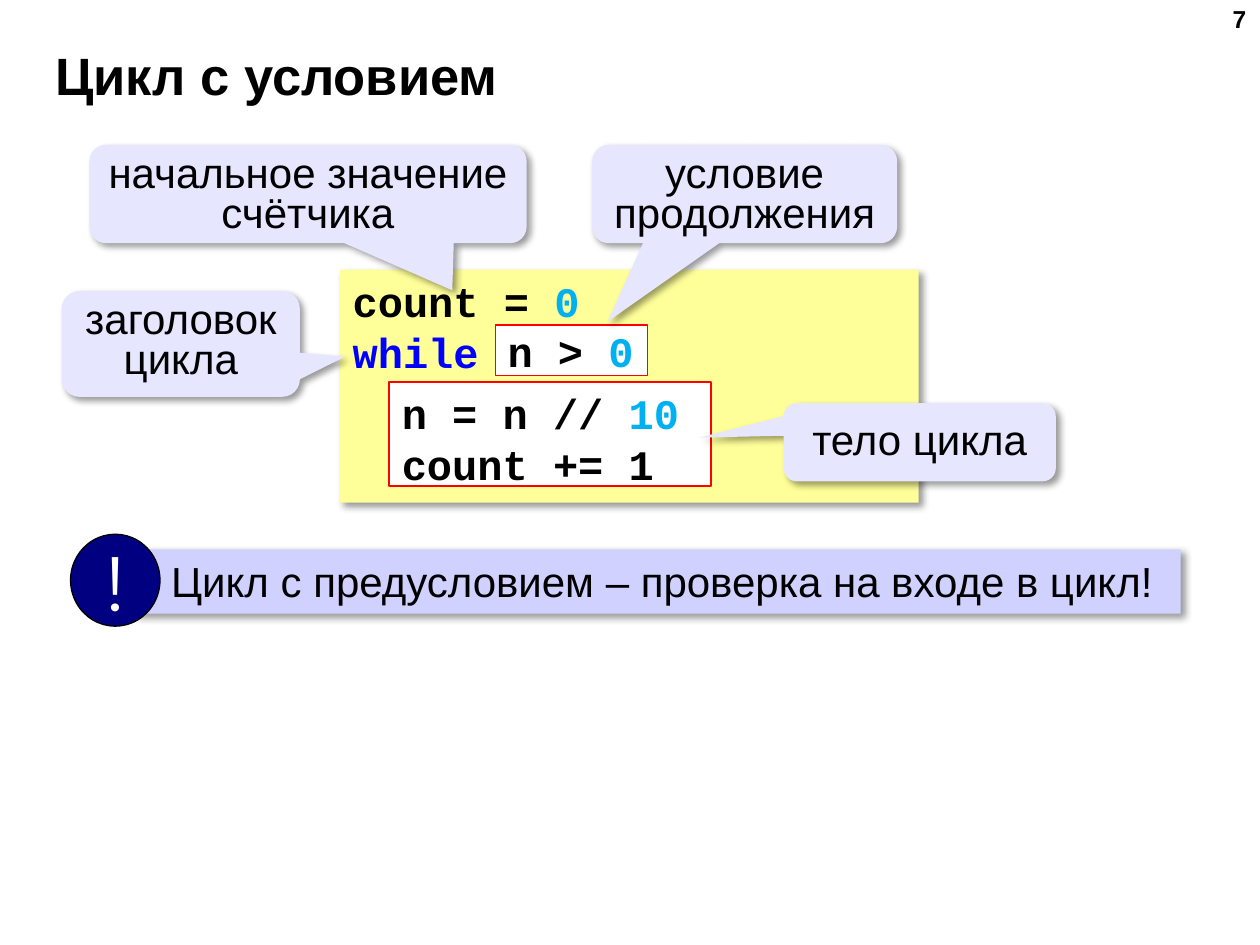
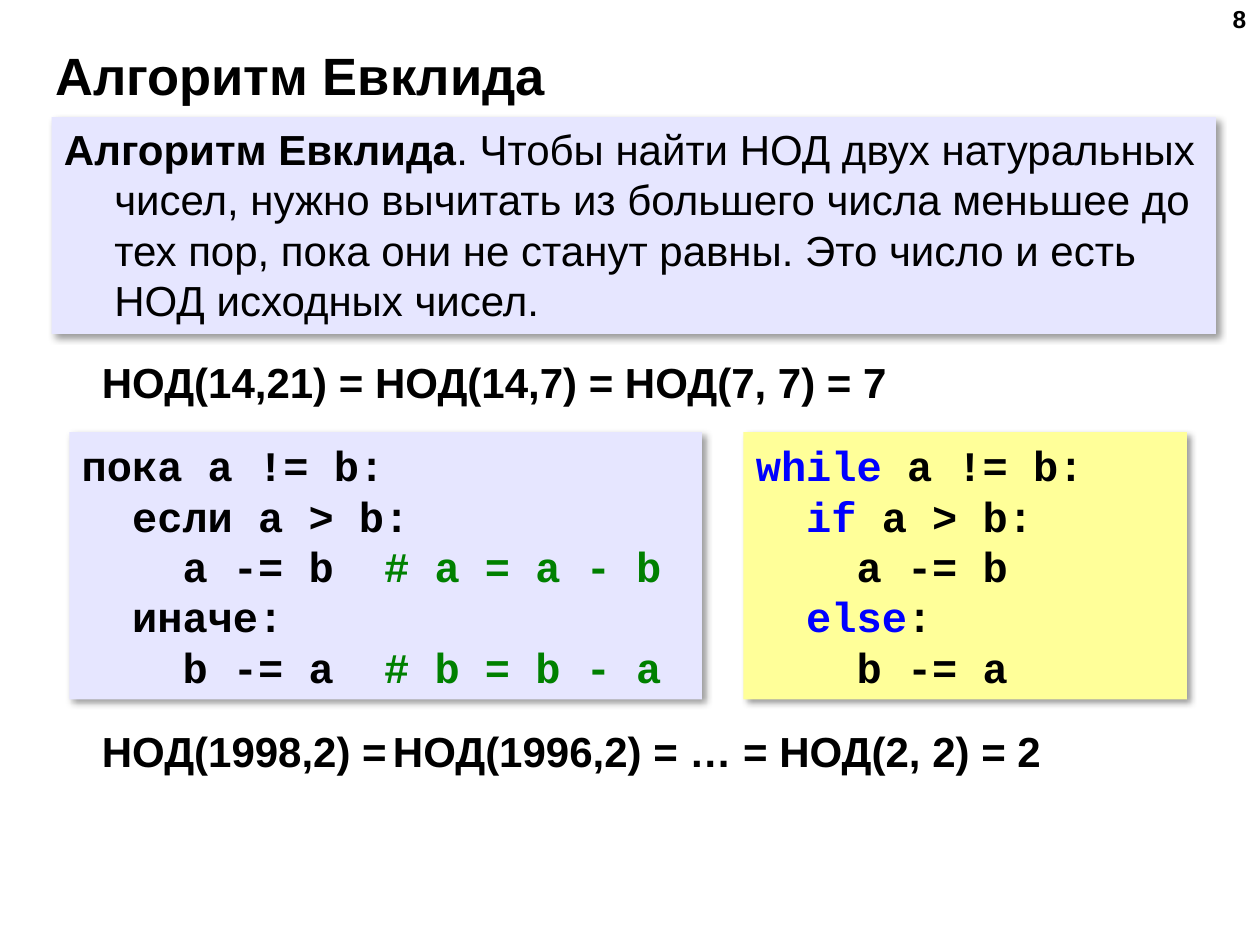
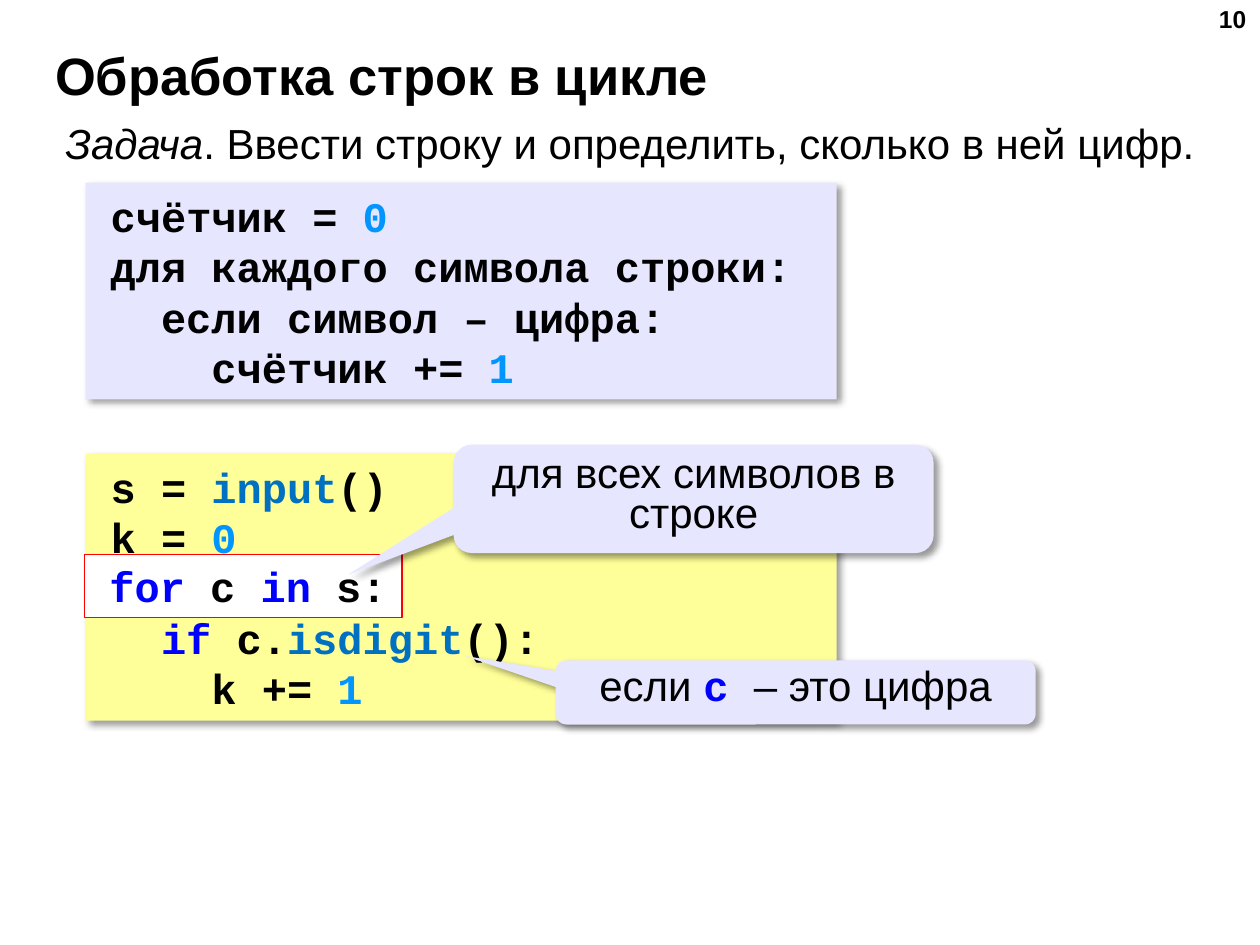
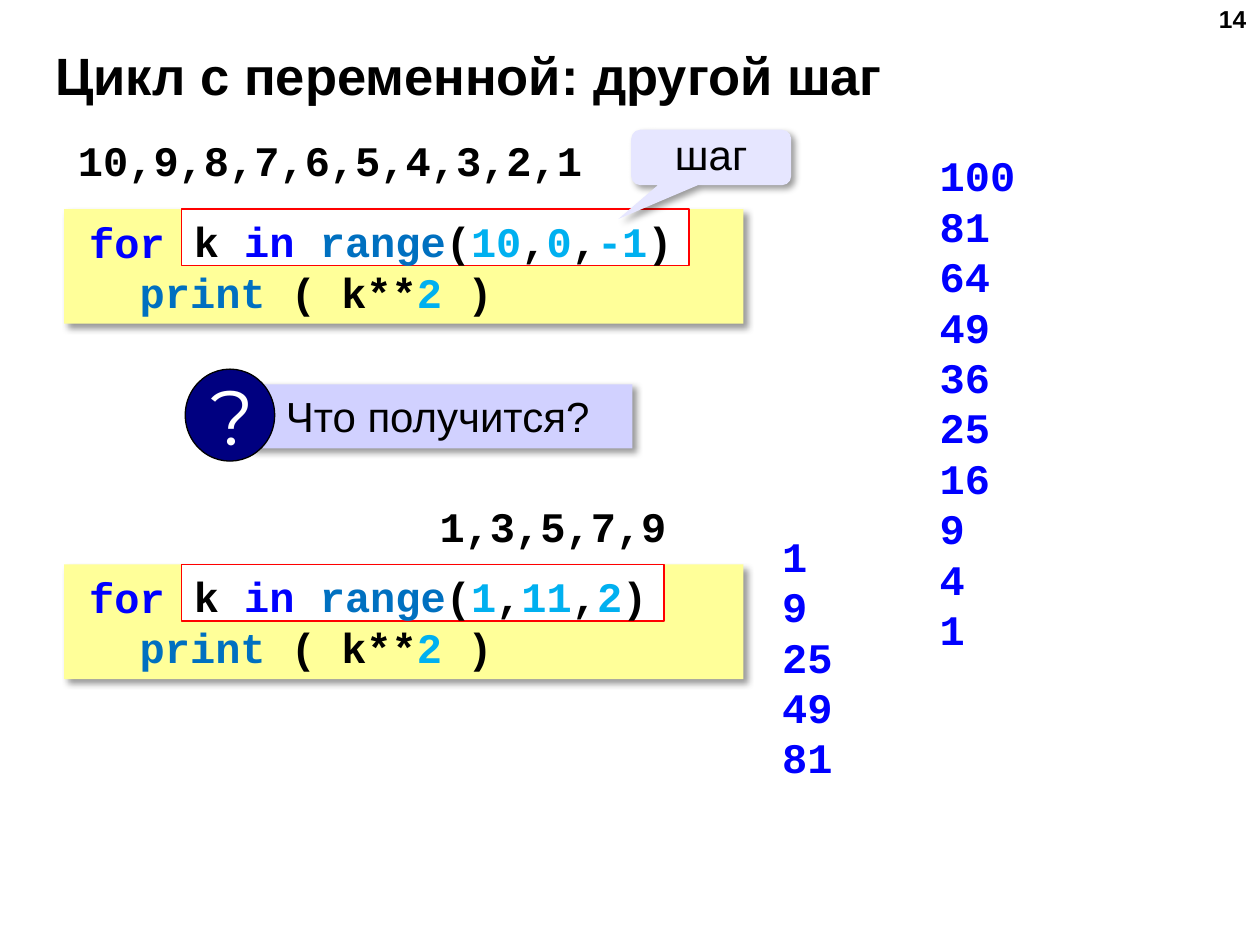
from dataclasses import dataclass, field
from lxml.etree import SubElement as Sub
from pptx import Presentation
from pptx.dml.color import RGBColor as Rgb
from pptx.enum.shapes import MSO_SHAPE as Kind
from pptx.enum.text import MSO_ANCHOR as Anchor, MSO_AUTO_SIZE as Auto, PP_ALIGN as Align
from pptx.oxml.ns import qn
from pptx.util import Inches, Pt


@dataclass(frozen=True)
class Theme:
    black: str = "000000"
    white: str = "FFFFFF"
    red: str = "FF0000"
    navy: str = "000080"
    blue: str = "0000FF"
    lilac: str = "E6E6FF"
    violet: str = "D1D1FF"
    yellow: str = "FFFF99"
    sans: str = "Arial"
    mono: str = "Courier New"
    sign: str = "Montserrat"
    head: int = 30
    body: int = 24
    small: int = 14
    large: int = 44
    glyph: float = 0.2
    tags: dict = field(default_factory=lambda: {
        "key": {"color": "0000FF"},
        "func": {"color": "0070C0"},
        "num": {"color": "00B0F0"},
        "digit": {"color": "0095FF"},
        "note": {"color": "008000"},
        "bold": {"bold": True},
        "ital": {"ital": True},
        "var": {"color": "0000FF", "bold": True, "face": "Courier New"},
    })


THEME = Theme()


def style(font, face=THEME.sans, size=THEME.body, color=THEME.black, bold=False, ital=False):
    font.name, font.size = face, Pt(size)
    font.bold, font.italic = bold, ital
    font.color.rgb = Rgb.from_string(color)


def write(frame, text, align=Align.LEFT, lead=None, left=0, first=0, tab=None, **look):
    for row, line in enumerate(text.split("\n")):
        para = frame.paragraphs[0] if row == 0 else frame.add_paragraph()
        para.alignment = align
        if lead:
            para.line_spacing = lead
        code = line.lstrip(" ")
        shift = first + (len(line) - len(code)) * THEME.glyph
        props = para._p.get_or_add_pPr()
        props.set("marL", str(Inches(left)))
        props.set("indent", str(Inches(shift)))
        if tab and "\t" in code:
            stops = Sub(props, qn("a:tabLst"))
            Sub(stops, qn("a:tab"), pos=str(Inches(tab)), algn="l")
        for chunk in code.split("|"):
            tag, _, word = chunk.rpartition("~")
            run = para.add_run()
            run.text = word
            style(run.font, **{**look, **THEME.tags.get(tag, {})})


class Deck:
    def __init__(self, theme):
        self.theme = theme
        self.show = Presentation()
        self.show.slide_width, self.show.slide_height = Inches(10), Inches(7.5)
        self.page = None

    def start(self, title, number):
        self.page = self.show.slides.add_slide(self.show.slide_layouts[6])
        self.label((0.34, 0.33, 9.16, 0.52), title, anchor=Anchor.MIDDLE,
                   size=self.theme.head, bold=True)
        self.label((7.66, -0.02, 2.33, 0.52), str(number), align=Align.RIGHT,
                   size=self.theme.small, bold=True)

    def fill(self, shape, text, anchor=Anchor.TOP, wrap=True, inset=(0.05, 0.05), **look):
        frame = shape.text_frame
        frame.word_wrap = wrap
        frame.auto_size = Auto.NONE if wrap else Auto.SHAPE_TO_FIT_TEXT
        frame.vertical_anchor = anchor
        frame.margin_left = frame.margin_right = Inches(0.1)
        frame.margin_top, frame.margin_bottom = map(Inches, inset)
        write(frame, text, **look)

    def label(self, box, text, **look):
        self.fill(self.page.shapes.add_textbox(*map(Inches, box)), text, **look)

    def shape(self, box, text, paint, kind=Kind.RECTANGLE, edge=None, width=0.75,
              shade=True, **look):
        item = self.page.shapes.add_shape(kind, *map(Inches, box))
        item.fill.solid()
        item.fill.fore_color.rgb = Rgb.from_string(paint)
        if edge:
            item.line.color.rgb = Rgb.from_string(edge)
            item.line.width = Pt(width)
        else:
            item.line.fill.background()
        item.shadow.inherit = False
        if shade:
            glow = Sub(item._element.spPr.find(qn("a:effectLst")), qn("a:outerShdw"),
                       blurRad=str(Pt(4)), dist=str(Pt(3)), dir="2700000",
                       algn="tl", rotWithShape="0")
            tint = Sub(glow, qn("a:srgbClr"), val=self.theme.black)
            Sub(tint, qn("a:alpha"), val="40000")
        self.fill(item, text, **look)
        return item

    def code(self, box, text, paint=THEME.yellow, anchor=Anchor.MIDDLE, **look):
        self.shape(box, text, paint, anchor=anchor, face=self.theme.mono, bold=True, **look)

    def frame(self, box, text, wrap=False, **look):
        self.code(box, text, self.theme.white, Anchor.TOP, edge=self.theme.red,
                  shade=False, wrap=wrap, **look)

    def list(self, box, text, color=THEME.black):
        self.label(box, text, wrap=False, face=self.theme.mono, bold=True, color=color)

    def fact(self, box, text):
        self.label(box, text, wrap=False, bold=True)

    def call(self, box, text, tip, lead=0.8):
        item = self.shape(box, text, self.theme.lilac, Kind.ROUNDED_RECTANGULAR_CALLOUT,
                          align=Align.CENTER, lead=lead)
        for spot, value in enumerate((*tip, 0.167)):
            item.adjustments[spot] = value

    def alert(self, left, top, width, sign, text):
        band = self.shape((left + 0.51, top + 0.12, width, 0.51), text,
                          self.theme.violet, first=0.19)
        disc = self.shape((left, top, 0.71, 0.73), sign, self.theme.navy, Kind.OVAL,
                          edge=self.theme.black, shade=False, anchor=Anchor.MIDDLE,
                          inset=(0, 0), align=Align.CENTER, face=self.theme.sign,
                          size=self.theme.large, color=self.theme.white)
        self.page.shapes.add_group_shape([band, disc])

    def loop(self, top, width, span):
        self.code((0.51, top, 5.39, 0.91),
                  "key~for|\t:\n  func~print |( k**|num~2| )", first=0.1, tab=4.7)
        bounds = "|,|".join(f"num~{value}" for value in span)
        self.frame((1.44, top, width, 0.45),
                   f"k |key~in |func~range|(|{bounds}|)", inset=(0.05, 0))


def while_loop(deck):
    deck.start("Цикл с условием", 7)
    deck.code((2.7, 2.14, 4.59, 1.85), "count = |num~0\nkey~while|\t:",
              anchor=Anchor.TOP, tab=2.4)
    deck.frame((3.09, 3.03, 2.55, 0.83), "n = n // |num~10\ncount += 1", wrap=True,
               kind=Kind.FLOWCHART_PROCESS, width=1)
    deck.call((6.22, 3.2, 2.16, 0.62), "тело цикла", (-0.81, -0.06), lead=None)
    deck.call((0.71, 1.15, 3.47, 0.78), "начальное значение счётчика", (0.33, 0.98))
    deck.frame((3.93, 2.58, 1.21, 0.4), "n > |num~0", inset=(0, 0))
    deck.call((4.7, 1.15, 2.42, 0.78), "условие продолжения", (-0.45, 1.3))
    deck.call((0.49, 2.31, 1.89, 0.84), "заголовок цикла", (0.69, 0.12))
    deck.alert(0.56, 4.24, 8.3, "!", "Цикл с предусловием – проверка на входе в цикл!")


def euclid(deck):
    deck.start("Алгоритм Евклида", 8)
    deck.shape((0.41, 0.93, 9.24, 1.72),
               "bold~Алгоритм Евклида|. Чтобы найти НОД двух натуральных чисел, нужно "
               "вычитать из большего числа меньшее до тех пор, пока они не станут равны. "
               "Это число и есть НОД исходных чисел.",
               THEME.lilac, left=0.4, first=-0.4)
    deck.fact((0.71, 2.78, 6.59, 0.51), "НОД(14,21) = НОД(14,7) = НОД(7, 7) = 7")
    deck.code((0.55, 3.43, 5.02, 2.12),
              "пока a != b:\n"
              "  если a > b:\n"
              "    a -= b  |note~# a = a - b\n"
              "  иначе:\n"
              "    b -= a  |note~# b = b - a", THEME.lilac)
    deck.code((5.9, 3.43, 3.52, 2.12),
              "key~while |a != b:\n"
              "  key~if |a > b:\n"
              "    a -= b\n"
              "  key~else|:\n"
              "    b -= a")
    deck.fact((0.71, 5.71, 2.58, 0.51), "НОД(1998,2) =")
    deck.fact((3.02, 5.71, 5.49, 0.51), "НОД(1996,2) = … = НОД(2, 2) = 2")


def strings(deck):
    deck.start("Обработка строк в цикле", 10)
    deck.label((0.42, 0.88, 9.27, 0.51),
               "ital~Задача|. Ввести строку и определить, сколько в ней цифр.",
               left=0.4, first=-0.4)
    deck.code((0.68, 1.45, 5.96, 1.72),
              "счётчик = |digit~0\n"
              "для каждого символа строки:\n"
              "  если символ – цифра:\n"
              "    счётчик += |digit~1", THEME.lilac, first=0.1)
    deck.code((0.68, 3.6, 5.96, 2.12),
              "s = |func~input|()\n"
              "k = |digit~0\n"
              "for c in s:\n"
              "  key~if |c.|func~isdigit|():\n"
              "    k += |digit~1", first=0.1)
    deck.frame((0.67, 4.4, 2.52, 0.5), "key~for| c |key~in| s:", first=0.1)
    deck.call((3.6, 3.53, 3.81, 0.86), "для всех символов в строке", (-0.72, 0.7))
    deck.call((4.41, 5.24, 3.81, 0.51), "если |var~c |– это цифра", (-0.69, -0.57))


def steps(deck):
    deck.start("Цикл с переменной: другой шаг", 14)
    down, odd = range(10, 0, -1), range(1, 11, 2)
    for box, span in (((7.36, 1.14, 0.81, 4.14), down), ((6.11, 4.16, 0.6, 2.12), odd)):
        deck.list(box, "\n".join(str(k ** 2) for k in span), THEME.blue)
    deck.alert(1.47, 2.93, 3.04, "?", "Что получится?")
    deck.loop(4.48, 3.83, (1, 11, 2))
    deck.loop(1.66, 4.03, (10, 0, -1))
    deck.call((5.01, 1.03, 1.27, 0.44), "шаг", (-0.58, 1.11))
    for box, span in (((0.52, 1.02, 4.23, 0.51), down), ((3.39, 3.92, 2.02, 0.5), odd)):
        deck.list(box, ",".join(map(str, span)))


def main():
    deck = Deck(THEME)
    for build in (while_loop, euclid, strings, steps):
        build(deck)
    deck.show.save("out.pptx")


if __name__ == "__main__":
    main()
